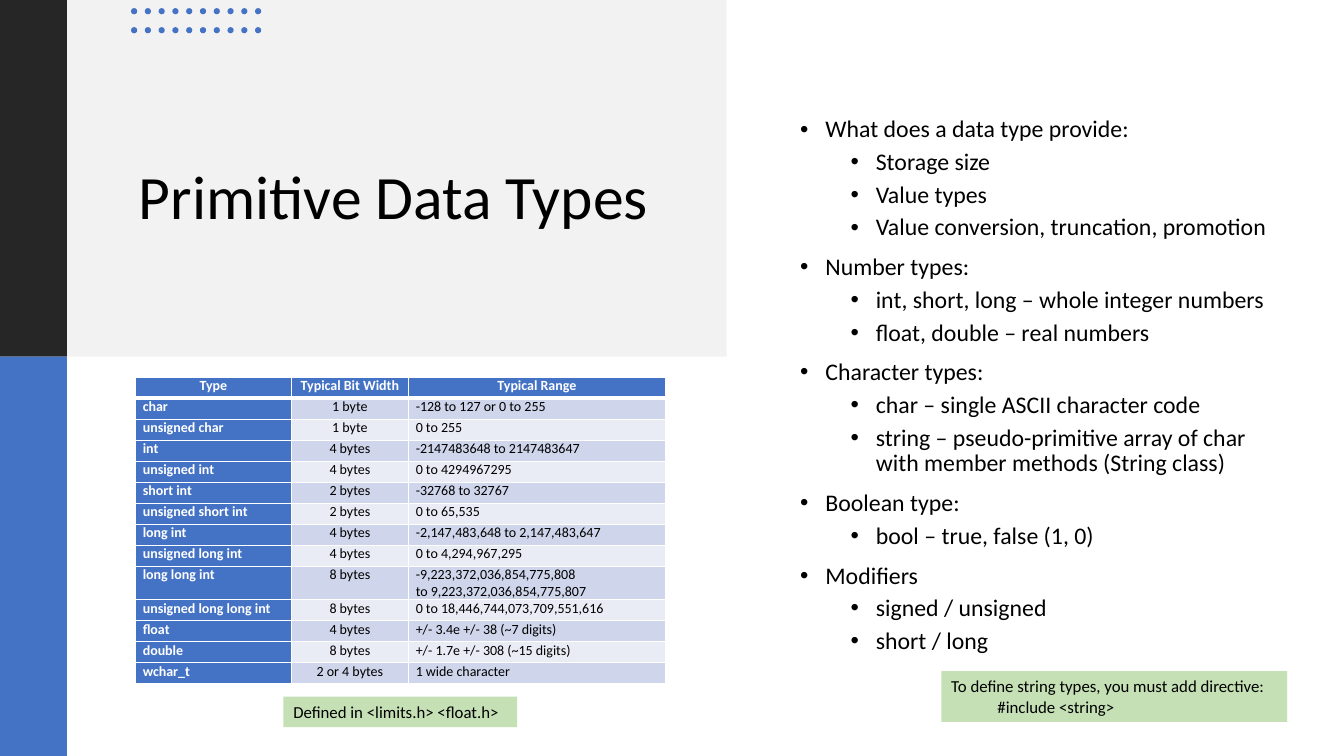
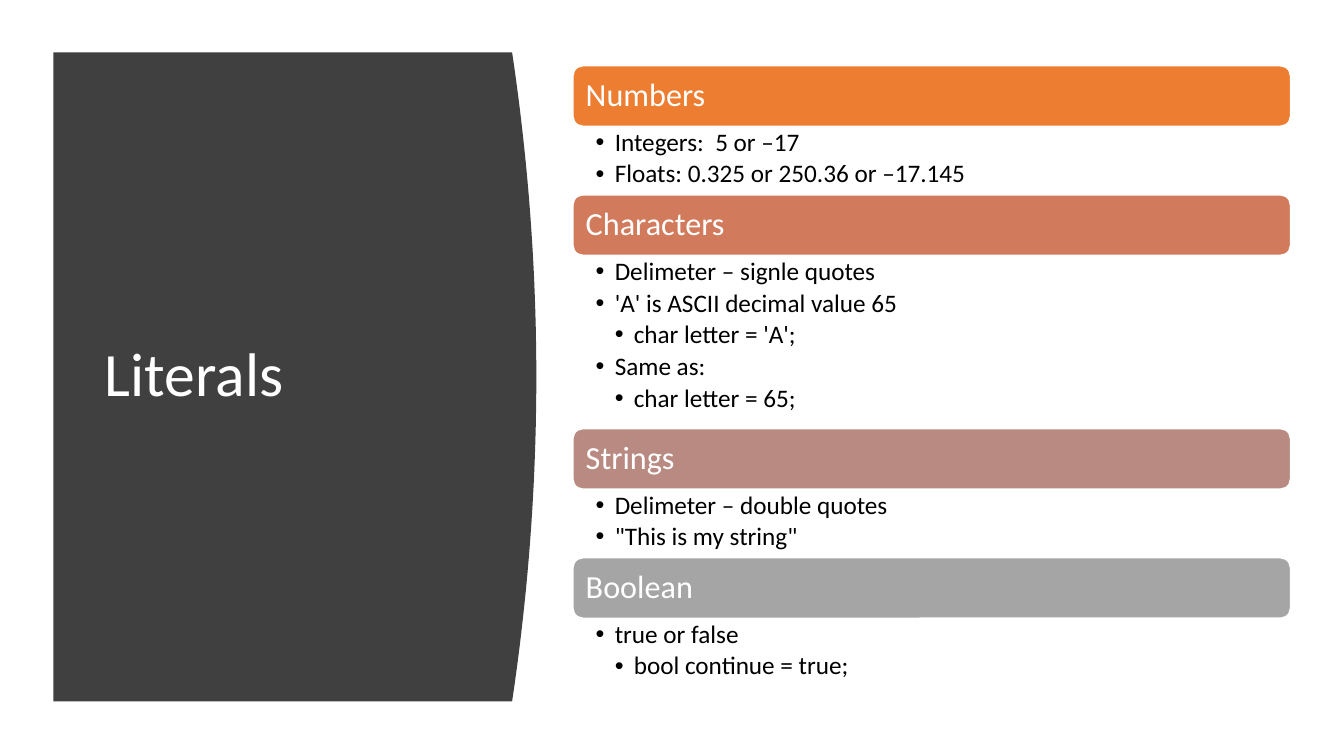
from lxml import etree
from pptx import Presentation
from pptx.dml.color import RGBColor
from pptx.enum.shapes import MSO_SHAPE
from pptx.enum.text import MSO_ANCHOR, PP_ALIGN
from pptx.oxml.ns import qn
from pptx.util import Pt

RECTANGLE, ROUNDED, OVAL = MSO_SHAPE.RECTANGLE, MSO_SHAPE.ROUNDED_RECTANGLE, MSO_SHAPE.OVAL
TOP, MIDDLE = MSO_ANCHOR.TOP, MSO_ANCHOR.MIDDLE
LEFT, CENTER = PP_ALIGN.LEFT, PP_ALIGN.CENTER

FONT = "Calibri"
COLORS = {
    "black": "000000", "white": "FFFFFF", "panel": "F2F2F2", "stripe": "262626",
    "blue": "4472C4", "odd_row": "CFD5EA", "even_row": "E9EBF5", "note": "C5E0B4",
    "curve": "404040", "orange": "ED7D31", "clay": "D17B5C", "rose": "B98A82", "gray": "A5A5A5",
}


def color(name):
    """Return the named colour."""
    return RGBColor.from_string(COLORS[name])


def write(frame, lines, size=18, ink="black", bold=False, align=LEFT, anchor=TOP,
          insets=(7.2, 3.6, 7.2, 3.6), spacing=1.0, before=(0, 0, 0), after=0,
          margins=(0, 0, 0), hanging=0):
    """Fill a text frame with lines given as (level, text) pairs."""
    frame.word_wrap = True
    frame.vertical_anchor = anchor
    frame.margin_left, frame.margin_top, frame.margin_right, frame.margin_bottom = map(Pt, insets)
    for index, (level, text) in enumerate(lines):
        paragraph = frame.paragraphs[0] if index == 0 else frame.add_paragraph()
        paragraph.level = level
        paragraph.alignment = align
        paragraph.line_spacing = spacing
        paragraph.space_before = Pt(before[level])
        paragraph.space_after = Pt(after)
        run = paragraph.add_run()
        run.text = text
        run.font.name, run.font.size, run.font.bold = FONT, Pt(size), bold
        run.font.color.rgb = color(ink)
        properties = paragraph._p.get_or_add_pPr()
        properties.set("marL", str(Pt(margins[level])))
        properties.set("indent", str(-Pt(hanging)))
        if hanging:
            etree.SubElement(properties, qn("a:buFont")).set("typeface", "Arial")
            etree.SubElement(properties, qn("a:buChar")).set("char", "•")


class Deck:
    """Holds the presentation style and the current slide."""

    def __init__(self):
        """Start a widescreen presentation."""
        self.presentation = Presentation()
        self.presentation.slide_width, self.presentation.slide_height = Pt(960), Pt(540)
        self.slide = None

    def add_slide(self):
        """Make a new blank slide current."""
        self.slide = self.presentation.slides.add_slide(self.presentation.slide_layouts[6])

    def paint(self, shape, fill, line=None):
        """Give a shape a flat fill and an optional outline."""
        shape.shadow.inherit = False
        shape.fill.solid()
        shape.fill.fore_color.rgb = color(fill)
        if line:
            shape.line.color.rgb = color(line)
            shape.line.width = Pt(1)
        else:
            shape.line.fill.background()

    def block(self, kind, box, fill, line=None, lines=(), **style):
        """Add a preset shape, with text if given."""
        shape = self.slide.shapes.add_shape(kind, *map(Pt, box))
        self.paint(shape, fill, line)
        if lines:
            write(shape.text_frame, lines, **style)

    def text(self, box, lines, **style):
        """Add a text box."""
        shape = self.slide.shapes.add_textbox(*map(Pt, box))
        write(shape.text_frame, lines, **style)

    def title(self, box, text, ink="black"):
        """Add a slide title."""
        self.text(box, [(0, text)], size=44, ink=ink, anchor=MIDDLE, spacing=0.9)

    def curved_panel(self, left, top, right, height, bulge, fill, steps=40):
        """Add a panel whose right edge bows outwards."""
        points = [(left, top)]
        for step in range(steps + 1):
            offset = 2 * step / steps - 1
            points.append((right + bulge * (1 - offset ** 2), top + height * step / steps))
        points.append((left, top + height))
        corners = [(Pt(x), Pt(y)) for x, y in points]
        builder = self.slide.shapes.build_freeform(*corners[0])
        builder.add_line_segments(corners[1:], close=True)
        self.paint(builder.convert_to_shape(), fill)

    def border(self, cell, bottom):
        """Draw white borders round a table cell."""
        properties = cell._tc.get_or_add_tcPr()
        for side, width in (("L", 1), ("R", 1), ("T", 1), ("B", bottom)):
            line = etree.SubElement(properties, qn("a:ln" + side), w=str(Pt(width)))
            fill = etree.SubElement(line, qn("a:solidFill"))
            etree.SubElement(fill, qn("a:srgbClr"), val=COLORS["white"])

    def table(self, left, top, widths, row_height, rows):
        """Add a banded table with a header row and a header column."""
        frame = self.slide.shapes.add_table(
            len(rows), len(widths), Pt(left), Pt(top), Pt(sum(widths)), Pt(row_height * len(rows)))
        table = frame.table
        table.first_col = True
        for column, width in zip(table.columns, widths):
            column.width = Pt(width)
        for row, values in enumerate(rows):
            table.rows[row].height = Pt(row_height)
            for column, value in enumerate(values):
                cell = table.cell(row, column)
                header = row == 0 or column == 0
                self.border(cell, bottom=3 if row == 0 else 1)
                cell.fill.solid()
                cell.fill.fore_color.rgb = color(
                    "blue" if header else "odd_row" if row % 2 else "even_row")
                write(cell.text_frame, [(0, value)], size=10, bold=header,
                      ink="white" if header else "black",
                      align=CENTER if row == 0 or column == 1 else LEFT)
                cell.margin_left = cell.margin_right = Pt(5.4)
                cell.margin_top = cell.margin_bottom = Pt(0)
                cell.vertical_anchor = TOP


TYPES = [
    ("Type", "Typical Bit Width", "Typical Range"),
    ("char", "1 byte", "-128 to 127 or 0 to 255"),
    ("unsigned char", "1 byte", "0 to 255"),
    ("int", "4 bytes", "-2147483648 to 2147483647"),
    ("unsigned int", "4 bytes", "0 to 4294967295"),
    ("short int", "2 bytes", "-32768 to 32767"),
    ("unsigned short int", "2 bytes", "0 to 65,535"),
    ("long int", "4 bytes", "-2,147,483,648 to 2,147,483,647"),
    ("unsigned long int", "4 bytes", "0 to 4,294,967,295"),
    ("long long int", "8 bytes", "-9,223,372,036,854,775,808 to\u00a09,223,372,036,854,775,807"),
    ("unsigned long long int", "8 bytes", "0 to 18,446,744,073,709,551,616"),
    ("float", "4 bytes", "+/- 3.4e +/- 38 (~7 digits)"),
    ("double", "8 bytes", "+/- 1.7e +/- 308 (~15 digits)"),
    ("wchar_t", "2 or 4 bytes", "1 wide character"),
]
OUTLINE = [
    (0, "What does a data type provide:"),
    (1, "Storage size"),
    (1, "Value types"),
    (1, "Value conversion, truncation, promotion"),
    (0, "Number types:"),
    (1, "int, short,\u00a0long – whole integer numbers"),
    (1, "float, double – real numbers"),
    (0, "Character types:"),
    (1, "char – single ASCII character code"),
    (1, "string – pseudo-primitive array of char with member methods (String class)"),
    (0, "Boolean type:"),
    (1, "bool – true, false (1, 0)"),
    (0, "Modifiers"),
    (1, "signed / unsigned"),
    (1, "short /\u00a0long"),
]
LITERALS = [
    ("Numbers", "orange", 49, [(1, "Integers:\u00a0 5 or –17"),
                               (1, "Floats: 0.325 or 250.36 or –17.145")]),
    ("Characters", "clay", 123.8, [(1, "Delimeter – signle quotes"),
                                   (1, "'A' is ASCII decimal value 65"),
                                   (2, "char letter = 'A';"),
                                   (1, "Same as:"),
                                   (2, "char letter = 65;")]),
    ("Strings", "rose", 49, [(1, "Delimeter – double quotes"), (1, '"This is my string"')]),
    ("Boolean", "gray", 49, [(1, "true or false"), (2, "bool continue = true;")]),
]


def primitive_types(deck):
    """Build the slide on primitive data types."""
    deck.add_slide()
    deck.block(RECTANGLE, (0, 0, 519, 254.8), "panel")
    deck.title((92.2, 51.8, 388, 182.2), "Primitive Data Types")
    deck.block(RECTANGLE, (0, 0, 47.8, 254.8), "stripe")
    for row in range(2):
        for column in range(10):
            deck.block(OVAL, (93.6 + 9.84 * column, 5.8 + 13.6 * row, 4.4, 4.4), "blue")
    deck.block(RECTANGLE, (0, 254.8, 47.8, 285.2), "blue")
    deck.text((564.5, 41, 354.2, 469.4), OUTLINE, size=17, anchor=MIDDLE, spacing=0.9,
              before=(10, 5, 5), margins=(18, 54, 90), hanging=18)
    deck.table(96.6, 269.4, (111.6, 83.4, 183.8), 15, TYPES)
    deck.block(RECTANGLE, (202.4, 497.6, 167, 21.8), "note", size=12,
               lines=[(0, "Defined in <limits.h> <float.h>")])
    deck.block(RECTANGLE, (672.4, 479.4, 247, 36.2), "note", size=12, margins=(0, 33, 66),
               lines=[(0, "To define string types, you must add directive:"),
                      (1, "#include <string>")])


def literals(deck):
    """Build the slide on literals."""
    deck.add_slide()
    deck.curved_panel(38.2, 37.4, 365.8, 463.7, 17.3, "curve")
    deck.title((67.7, 80, 269.3, 377.3), "Literals", ink="white")
    left, top, width, bar = 409.2, 47, 512.6, 43.2
    for heading, fill, height, lines in LITERALS:
        deck.block(ROUNDED, (left, top, width, bar), fill, line="white", lines=[(0, heading)],
                   size=23, ink="white", anchor=MIDDLE, spacing=0.9)
        deck.text((left, top + bar, width, height), lines, spacing=0.9, after=3.3,
                  insets=(16.3, 2.2, 13, 2.2), margins=(0, 13.6, 27.2), hanging=13.6)
        top += bar + height


deck = Deck()
primitive_types(deck)
literals(deck)
deck.presentation.save("out.pptx")
